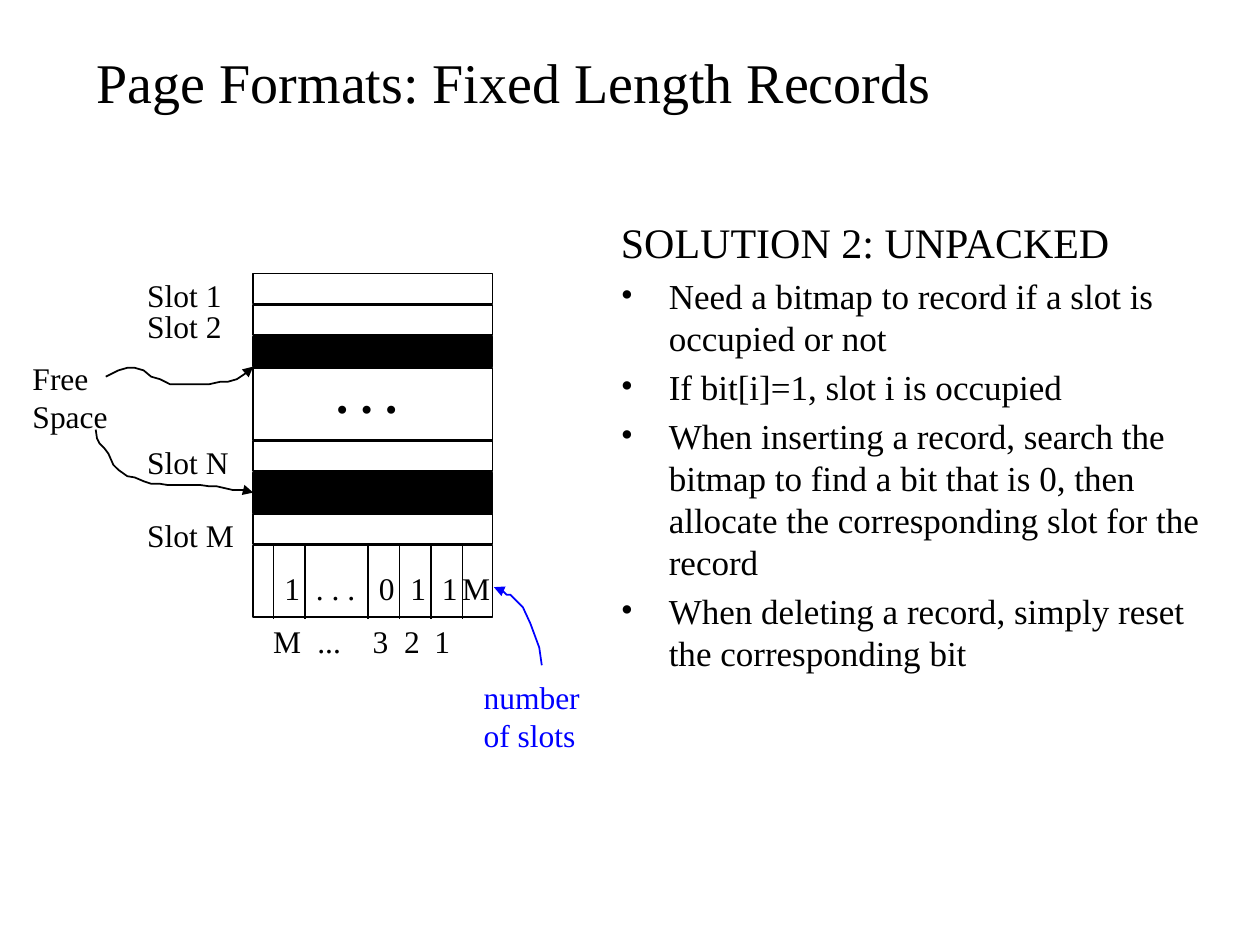
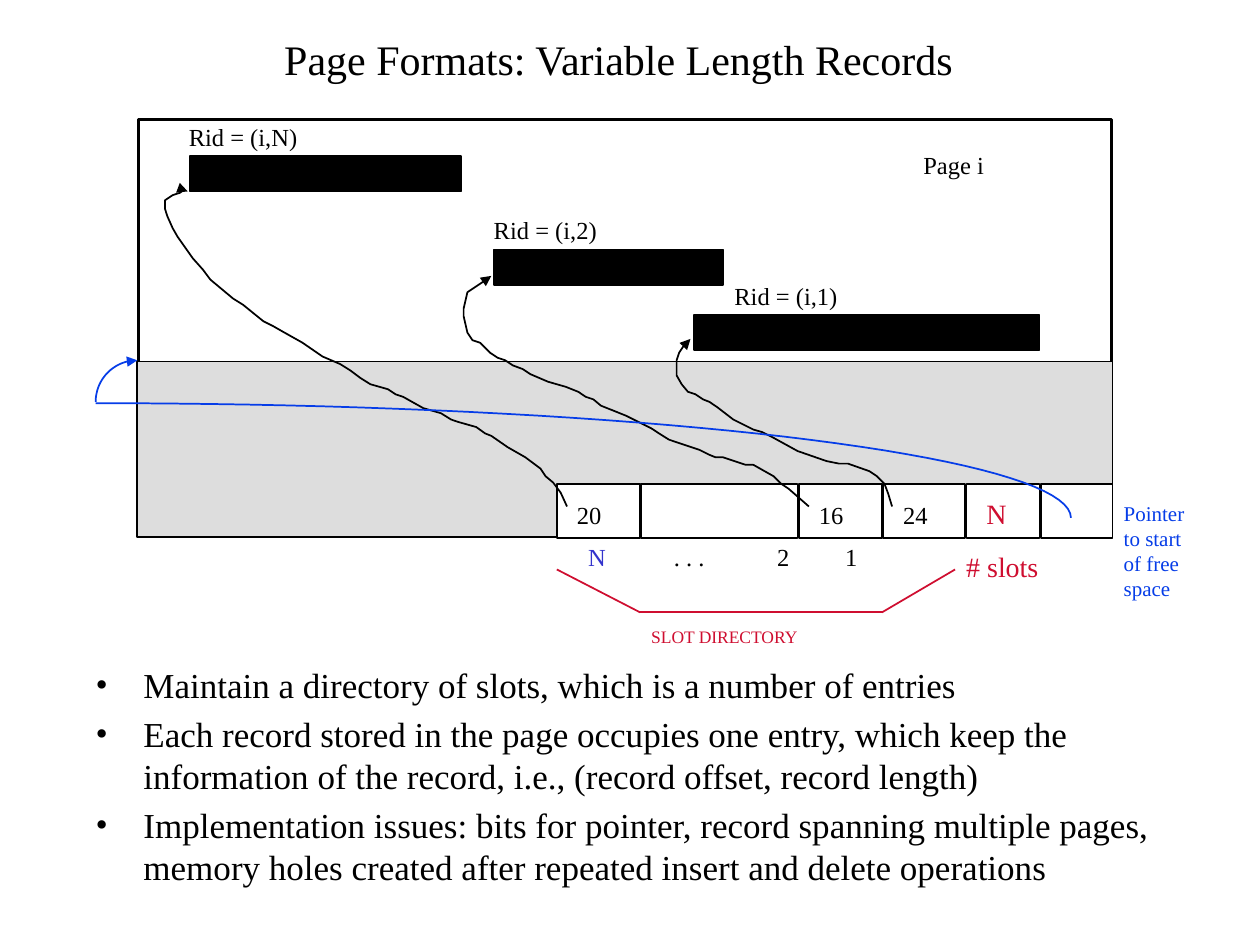
from dataclasses import dataclass
from itertools import pairwise
from math import cos, pi, sin

from lxml import etree
from pptx import Presentation
from pptx import util as u
from pptx.dml.color import RGBColor
from pptx.enum import shapes, text
from pptx.oxml import ns

COLORS = {
    "ink": "000000",
    "paper": "FFFFFF",
    "free": "DDDDDD",
    "count": "0000FF",
    "pointer": "063DE8",
    "directory": "CF0E30",
    "entry": "3333CC",
}
FONT = "Times New Roman"
LEFT, CENTER = text.PP_ALIGN.LEFT, text.PP_ALIGN.CENTER


def color(name):
    return RGBColor.from_string(COLORS[name])


def add_xml(parent, tag, **attributes):
    return etree.SubElement(parent, ns.qn(tag), **attributes)


def style_line(line, name, width=1, arrow=False):
    line.color.rgb = color(name)
    line.width = u.Pt(width)
    if arrow:
        add_xml(line._get_or_add_ln(), "a:tailEnd", type="triangle")


def write(paragraph, words, size, name="ink", bold=False):
    run = paragraph.add_run()
    run.text = words
    run.font.name = FONT
    run.font.size = u.Pt(size)
    run.font.bold = bold
    run.font.color.rgb = color(name)


@dataclass
class Area:
    """A region of a slide; its parts are placed from its top left corner."""
    slide: object
    left: float
    top: float

    def point(self, x, y):
        return u.Inches(self.left + x), u.Inches(self.top + y)

    def frame(self, x, y, width, height, wrap=True):
        box = self.slide.shapes.add_textbox(
            *self.point(x, y), u.Inches(width), u.Inches(height))
        box.text_frame.word_wrap = wrap
        return box.text_frame

    def label(self, x, y, width, height, words, size=18, name="ink", bold=False):
        frame = self.frame(x, y, width, height, wrap=False)
        for index, line in enumerate(words.split("\n")):
            paragraph = frame.add_paragraph() if index else frame.paragraphs[0]
            write(paragraph, line, size, name, bold)

    def rectangle(self, x, y, width, height, fill=None, line_width=1):
        shape = self.slide.shapes.add_shape(
            shapes.MSO_SHAPE.RECTANGLE, *self.point(x, y),
            u.Inches(width), u.Inches(height))
        shape.shadow.inherit = False
        if fill:
            shape.fill.solid()
            shape.fill.fore_color.rgb = color(fill)
        else:
            shape.fill.background()
        style_line(shape.line, "ink", line_width)

    def line(self, start, end, name="ink"):
        connector = self.slide.shapes.add_connector(
            shapes.MSO_CONNECTOR.STRAIGHT, *self.point(*start), *self.point(*end))
        style_line(connector.line, name)
        add_xml(connector._element.spPr, "a:effectLst")

    def curve(self, points, name="ink", arrow=True):
        start, *rest = [self.point(*point) for point in points]
        builder = self.slide.shapes.build_freeform(*start)
        builder.add_line_segments(rest, close=False)
        shape = builder.convert_to_shape()
        shape.shadow.inherit = False
        shape.fill.background()
        style_line(shape.line, name, arrow=arrow)

    def quarter_ellipse(self, center, radii, first_angle, name, arrow, steps=40):
        angles = [first_angle - pi / 2 * step / steps for step in range(steps + 1)]
        self.curve([(center[0] + radii[0] * cos(angle),
                     center[1] - radii[1] * sin(angle)) for angle in angles],
                   name, arrow)


def add_title(slide, left, top, width, height, words, size, alignment):
    frame = Area(slide, left, top).frame(0, 0, width, height)
    frame.vertical_anchor = text.MSO_ANCHOR.MIDDLE
    frame.paragraphs[0].alignment = alignment
    write(frame.paragraphs[0], words, size)


def add_body(slide, left, top, width, height, bullets, heading=None):
    frame = Area(slide, left, top).frame(0, 0, width, height)
    paragraph = frame.paragraphs[0]
    if heading:
        paragraph.space_before = u.Pt(5)
        write(paragraph, heading, 24)
    for index, words in enumerate(bullets):
        if index or heading:
            paragraph = frame.add_paragraph()
        paragraph.space_before = u.Pt(4)
        properties = paragraph._p.get_or_add_pPr()
        indent = u.Inches(0.38)
        properties.set("marL", str(indent))
        properties.set("indent", str(-indent))
        add_xml(properties, "a:buFont", typeface=FONT)
        add_xml(properties, "a:buChar", char="•")
        write(paragraph, words, 20)


def draw_bitmap_page(slide, left, top):
    area = Area(slide, left, top)
    page_left, page_width, gap = 2.01, 1.9, 0.01
    row_top = 0.17
    rows = [(0.24, None), (0.24, None), (0.24, "ink"), (0.57, None),
            (0.24, None), (0.32, "ink"), (0.24, None), (0.57, None)]
    for height, fill in rows:
        area.rectangle(page_left, row_top, page_width, height, fill)
        row_top += height + gap

    bits = [(2.17, "1", 0.33), (2.42, ". . .", 0.53), (2.92, "0", 0.33),
            (3.17, "1", 0.33), (3.42, "1", 0.33)]
    for x, bit, width in bits:
        area.line((x, 2.33), (x, 2.91))
        area.label(x - 0.01, 2.47, width, 0.4, bit)
    area.line((3.67, 2.33), (3.67, 2.91))
    area.label(3.57, 2.47, 0.42, 0.4, "M")
    for x, number, width in [(2.07, "M", 0.42), (2.42, "...", 0.39),
                             (2.86, "3", 0.33), (3.11, "2", 0.33), (3.35, "1", 0.33)]:
        area.label(x, 2.89, width, 0.4, number)

    area.label(2.57, 0.84, 0.69, 0.57, ". . .", 28, bold=True)
    for y, slot, width in [(0.14, "1", 0.8), (0.39, "2", 0.8),
                           (1.47, "N", 0.85), (2.05, "M", 0.89)]:
        area.label(1.07, y, width, 0.4, f"Slot {slot}")

    area.label(0.16, 0.8, 0.8, 0.7, "Free\nSpace")
    area.curve([(0.84, 0.99), (0.94, 0.94), (1.01, 0.92), (1.07, 0.92), (1.14, 0.94),
                (1.2, 0.99), (1.27, 1.01), (1.35, 1.05), (1.66, 1.05), (1.75, 1.03),
                (1.81, 1.03), (1.88, 1.01), (1.94, 0.97), (2.01, 0.91)])
    area.curve([(0.76, 1.41), (0.77, 1.48), (0.79, 1.52), (0.83, 1.56), (0.86, 1.6),
                (0.9, 1.69), (0.94, 1.73), (1.01, 1.78), (1.07, 1.79), (1.14, 1.82),
                (1.2, 1.84), (1.27, 1.84), (1.33, 1.85), (1.59, 1.85), (1.66, 1.86),
                (1.72, 1.86), (1.85, 1.89), (1.98, 1.89), (2.01, 1.91)])

    area.label(3.74, 3.33, 0.97, 0.7, "number\nof slots", name="count")
    area.curve([(4.3, 3.28), (4.28, 3.14), (4.21, 2.95), (4.15, 2.82), (4.05, 2.72),
                (4.02, 2.72), (3.99, 2.69), (3.95, 2.69), (3.92, 2.66)], "count")


def draw_slot_directory(area):
    cell_left, gap = 4.42, 0.01
    cells = [(0.66, "20"), (1.24, None), (0.66, "16"),
             (0.65, "24"), (0.58, None), (0.57, None)]
    for width, offset in cells:
        area.rectangle(cell_left, 2.84, width, 0.43, "paper")
        if offset:
            area.label(cell_left + 0.06, 2.92, 0.4, 0.33, offset, 14)
        cell_left += width + gap
    area.label(7.73, 2.89, 0.38, 0.36, "N", 16, "directory")
    area.label(7.57, 3.31, 0.78, 0.37, "# slots", 16, "directory")

    for x, number, width, name in [(4.57, "N", 0.34, "entry"), (5.25, ". . .", 0.45, "ink"),
                                   (6.07, "2", 0.3, "ink"), (6.61, "1", 0.3, "ink")]:
        area.label(x, 3.25, width, 0.33, number, 14, name)
    brace = [(4.42, 3.52), (5.08, 3.86), (7, 3.86), (7.58, 3.52)]
    for start, end in pairwise(brace):
        area.line(start, end, "directory")
    area.label(5.07, 3.92, 1.43, 0.26, "SLOT DIRECTORY", 10, "directory")


def draw_record_pointers(area):
    area.curve([(7.08, 3.02), (7.05, 2.92), (7.02, 2.84), (6.96, 2.78), (6.9, 2.74),
                (6.73, 2.68), (6.66, 2.68), (6.56, 2.66), (6.33, 2.58), (6.13, 2.47),
                (6.05, 2.43), (5.98, 2.41), (5.82, 2.33), (5.69, 2.23), (5.63, 2.19),
                (5.58, 2.17), (5.52, 2.13), (5.46, 2.11), (5.41, 2.05), (5.37, 1.98),
                (5.37, 1.86), (5.39, 1.8), (5.43, 1.74), (5.48, 1.69)])
    area.curve([(6.42, 3.02), (6.26, 2.88), (6.2, 2.84), (6.14, 2.78), (5.98, 2.69),
                (5.92, 2.69), (5.74, 2.63), (5.68, 2.63), (5.63, 2.61), (5.55, 2.57),
                (5.31, 2.49), (5.23, 2.44), (5.17, 2.4), (4.97, 2.3), (4.87, 2.26),
                (4.77, 2.22), (4.71, 2.17), (4.65, 2.15), (4.59, 2.11), (4.49, 2.07),
                (4.35, 2.03), (4.21, 1.97), (4.15, 1.93), (4.07, 1.9), (4.01, 1.86),
                (3.95, 1.84), (3.89, 1.8), (3.81, 1.72), (3.75, 1.7), (3.71, 1.64),
                (3.68, 1.51), (3.68, 1.45), (3.71, 1.32), (3.83, 1.24), (3.9, 1.19)])
    area.curve([(4.5, 3.02), (4.45, 2.91), (4.39, 2.83), (4.33, 2.78), (4.29, 2.72),
                (4.17, 2.63), (4.03, 2.55), (3.9, 2.46), (3.85, 2.44), (3.78, 2.39),
                (3.64, 2.35), (3.58, 2.33), (3.5, 2.28), (3.36, 2.24), (3.2, 2.15),
                (3.14, 2.13), (3.08, 2.09), (2.94, 2.05), (2.86, 2), (2.78, 1.94),
                (2.7, 1.89), (2.56, 1.83), (2.4, 1.72), (2.24, 1.63), (2.17, 1.59),
                (2.09, 1.55), (1.93, 1.42), (1.85, 1.37), (1.67, 1.22), (1.61, 1.14),
                (1.53, 1.05), (1.41, 0.88), (1.37, 0.81), (1.33, 0.72), (1.31, 0.66),
                (1.31, 0.59), (1.37, 0.55), (1.43, 0.53), (1.49, 0.48), (1.49, 0.52)])


def draw_directory_page(slide, left, top):
    area = Area(slide, left, top)
    area.rectangle(1.1, -0.05, 7.72, 3.31, line_width=2)
    area.label(7.23, 0.14, 0.69, 0.33, "Page i", 14)
    for x, y, width in [(1.51, 0.24, 2.15), (3.92, 0.98, 1.82), (5.51, 1.5, 2.74)]:
        area.rectangle(x, y, width, 0.28, "ink")
    area.rectangle(1.09, 1.87, 7.74, 1.39, "free")
    for x, y, width, slot in [(1.4, -0.08, 1.07, "N"), (3.82, 0.66, 1.02, "2"),
                              (5.73, 1.18, 1.02, "1")]:
        area.label(x, y, width, 0.33, f"Rid = (i,{slot})", 14)
    draw_slot_directory(area)
    draw_record_pointers(area)
    area.quarter_ellipse((1.09, 2.19), (0.33, 0.33), pi, "pointer", arrow=True)
    area.quarter_ellipse((0.76, 3.11), (7.74, 0.91), pi / 2, "pointer", arrow=False)
    area.label(8.82, 2.92, 0.69, 0.91, "Pointer\nto start\nof free\nspace", 12, "pointer")


def build_fixed_length(slide):
    add_title(slide, 0.67, 0.04, 9.17, 1.21,
              "Page Formats: Fixed Length Records", 32, LEFT)
    draw_bitmap_page(slide, 0, 2)
    add_body(slide, 4.83, 1.67, 5, 3.91, [
        "Need a bitmap to record if a slot is occupied or not",
        "If bit[i]=1, slot i is occupied",
        "When inserting a record, search the bitmap to find a bit that is 0, "
        "then allocate the corresponding slot for the record",
        "When deleting a record, simply reset the corresponding bit",
    ], heading="SOLUTION 2: UNPACKED")


def build_variable_length(slide):
    add_title(slide, 0.66, 0.11, 8.5, 0.71,
              "Page Formats: Variable Length Records", 24, CENTER)
    add_body(slide, 0.66, 5.22, 8.58, 2.03, [
        "Maintain a directory of slots, which is a number of entries",
        "Each record stored in the page occupies one entry, which keep the "
        "information of the record, i.e., (record offset, record length)",
        "Implementation issues: bits for pointer, record spanning multiple pages, "
        "memory holes created after repeated insert and delete operations",
    ])
    draw_directory_page(slide, 0, 1)


def main():
    presentation = Presentation()
    presentation.slide_width = u.Inches(10)
    presentation.slide_height = u.Inches(7.5)
    for build in (build_fixed_length, build_variable_length):
        build(presentation.slides.add_slide(presentation.slide_layouts[6]))
    presentation.save("out.pptx")


if __name__ == "__main__":
    main()
